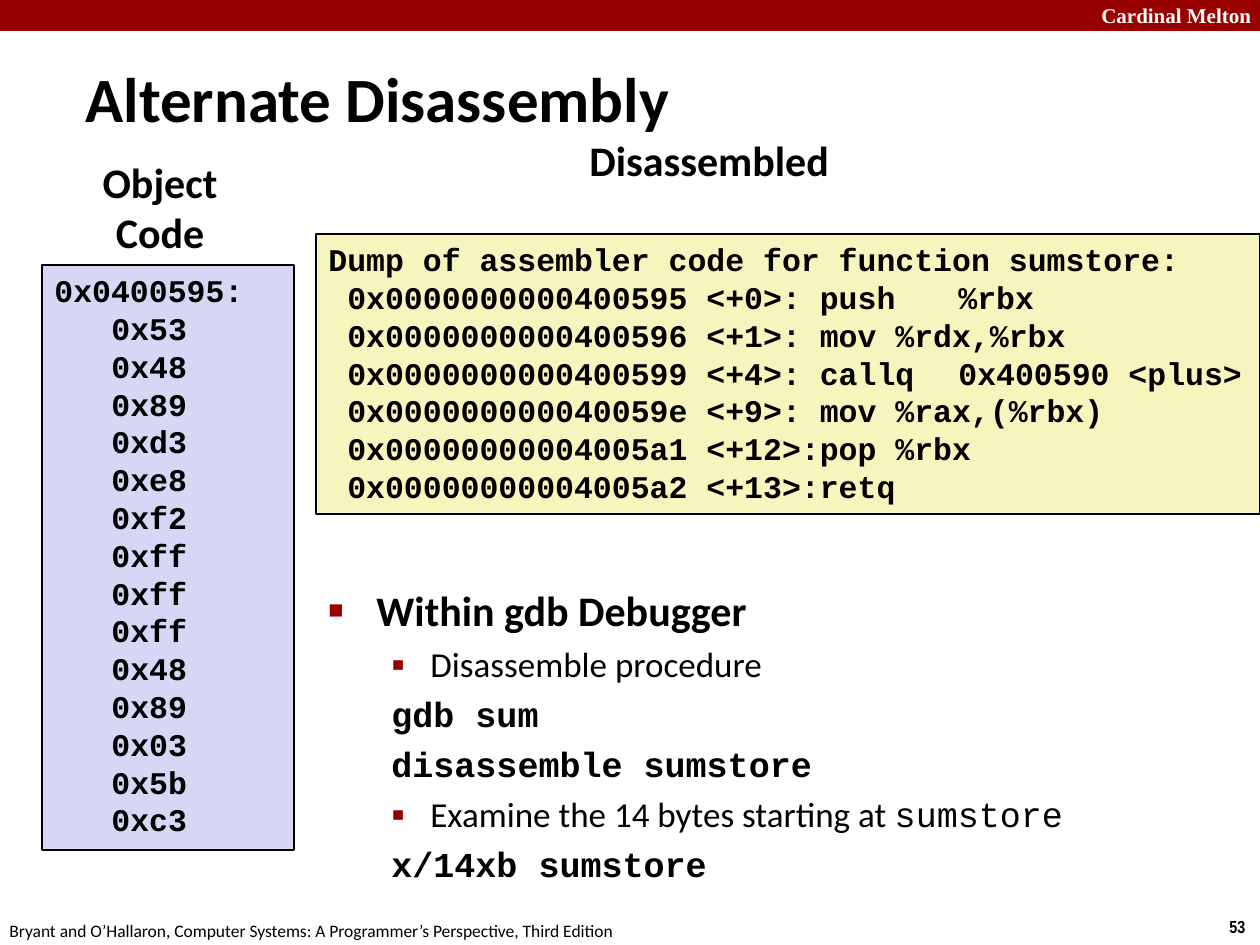
from dataclasses import dataclass

from lxml import etree
from pptx import Presentation
from pptx import util as u
from pptx.dml.color import RGBColor
from pptx.enum import shapes, text
from pptx.oxml import ns

SCALE = 914400 // 126


@dataclass(frozen=True)
class Theme:
    red: str = "990000"
    black: str = "000000"
    white: str = "FFFFFF"
    yellow: str = "F6F5BD"
    lilac: str = "D6D6F5"
    sans: str = "Calibri"
    mono: str = "Courier New"
    title: int = 36
    heading: int = 24
    detail: int = 20
    code: int = 18
    brand: int = 12
    footer: int = 10


THEME = Theme()
SQUARE = ("■", 60)
SMALL_SQUARE = ("▪", 110)


def px(value):
    return u.Emu(round(value * SCALE))


def apply(target, values):
    for name, value in values.items():
        setattr(target, name, value)


def add_span(para, words, size, face=THEME.sans, bold=True, color=THEME.black):
    span = para.add_run()
    span.text = words
    apply(span.font, {"size": u.Pt(size), "name": face, "bold": bold})
    span.font.color.rgb = RGBColor.from_string(color)
    return span


def add_element(parent, tag, **attributes):
    element = etree.SubElement(parent, ns.qn(tag))
    for name, value in attributes.items():
        element.set(name, str(value))
    return element


def indent(para, left, first=0):
    properties = para._p.get_or_add_pPr()
    properties.set("marL", str(px(left)))
    properties.set("indent", str(px(first)))
    return properties


def add_bullet(properties, mark, percent):
    color = add_element(properties, "a:buClr")
    add_element(color, "a:srgbClr", val=THEME.red)
    add_element(properties, "a:buSzPct", val=percent * 1000)
    add_element(properties, "a:buFont", typeface="Arial")
    add_element(properties, "a:buChar", char=mark)


def add_text_box(slide, place, wrap=True):
    box = slide.shapes.add_textbox(*map(px, place))
    box.text_frame.word_wrap = wrap
    return box.text_frame


def add_label(slide, place, words, size, wrap=True, **style):
    para = add_text_box(slide, place, wrap).paragraphs[0]
    add_span(para, words, size, **style)
    return para


def add_panel(slide, place, fill, line=None):
    panel = slide.shapes.add_shape(shapes.MSO_SHAPE.RECTANGLE, *map(px, place))
    panel.shadow.inherit = False
    panel.fill.solid()
    panel.fill.fore_color.rgb = RGBColor.from_string(fill)
    if line:
        panel.line.color.rgb = RGBColor.from_string(line)
        panel.line.width = u.Pt(1)
    else:
        panel.line.fill.background()
    return panel


def add_paragraphs(frame, items):
    for index, item in enumerate(items):
        yield (frame.add_paragraph() if index else frame.paragraphs[0]), item


def add_code(slide, place, fill, lines, left=0, tab=None):
    frame = add_panel(slide, place, fill, THEME.black).text_frame
    apply(frame, {"word_wrap": True, "vertical_anchor": text.MSO_ANCHOR.TOP})
    for index, (para, line) in enumerate(add_paragraphs(frame, lines)):
        apply(para, {"alignment": text.PP_ALIGN.LEFT, "line_spacing": u.Pt(21.6)})
        properties = indent(para, left if index else 0)
        if tab:
            stops = add_element(properties, "a:tabLst")
            add_element(stops, "a:tab", pos=px(tab), algn="l")
        add_span(para, line, THEME.code, THEME.mono)


def add_outline(slide, place, items):
    for para, (left, first, bullet, spans) in add_paragraphs(add_text_box(slide, place), items):
        properties = indent(para, left, first)
        if bullet:
            add_bullet(properties, *bullet)
        para.space_before = u.Pt(4.6)
        for span in spans:
            add_span(para, *span)


def set_title(slide, place, words):
    title = slide.shapes.title
    apply(title, dict(zip(("left", "top", "width", "height"), map(px, place))))
    frame = title.text_frame
    apply(frame, {"word_wrap": True, "vertical_anchor": text.MSO_ANCHOR.MIDDLE})
    frame.paragraphs[0].alignment = text.PP_ALIGN.LEFT
    add_span(frame.paragraphs[0], words, THEME.title)


def point(words):
    return 102, -39, SMALL_SQUARE, [(words, THEME.detail, THEME.sans, False)]


def command(words):
    return 102, -39, None, [(words, THEME.detail, THEME.mono)]


def main():
    deck = Presentation()
    apply(deck, {"slide_width": px(1260), "slide_height": px(945)})
    slide = deck.slides.add_slide(deck.slide_layouts[5])

    add_panel(slide, (0, 0, 1260, 31), THEME.red)
    add_label(slide, (1089, -4, 180, 38), "Cardinal Melton", THEME.brand,
              face="Times New Roman", color=THEME.white)
    add_label(slide, (1217, 910, 43, 34), "53", THEME.footer, wrap=False, face="Arial Narrow")
    add_label(slide, (-3, 914, 640, 34),
              "Bryant and O’Hallaron, Computer Systems: A Programmer’s Perspective, Third Edition",
              THEME.footer, wrap=False, bold=False)

    set_title(slide, (73, 58, 861, 79), "Alternate Disassembly")
    add_label(slide, (577, 128, 359, 57), "Disassembled", THEME.heading)
    object_label = add_label(slide, (55, 150, 180, 105), "Object", THEME.heading)
    object_label.alignment = text.PP_ALIGN.CENTER
    indent(object_label, 30)
    object_label.add_line_break()
    add_span(object_label, "Code", THEME.heading)

    add_code(slide, (316, 234, 944, 280), THEME.yellow, [
        "Dump of assembler code for function sumstore:",
        " 0x0000000000400595 <+0>: push\t%rbx",
        " 0x0000000000400596 <+1>: mov\t%rdx,%rbx",
        " 0x0000000000400599 <+4>: callq\t0x400590 <plus>",
        " 0x000000000040059e <+9>: mov\t%rax,(%rbx)",
        " 0x00000000004005a1 <+12>:pop\t%rbx",
        " 0x00000000004005a2 <+13>:retq",
    ], tab=624)
    code_bytes = "53 48 89 d3 e8 f2 ff ff ff 48 89 03 5b c3".split()
    add_code(slide, (42, 265, 252, 585), THEME.lilac,
             ["0x0400595:"] + [f"0x{code}" for code in code_bytes], left=57)

    examine = point("Examine the 14 bytes starting at ")
    examine[3].append(("sumstore", THEME.detail, THEME.mono, False))
    add_outline(slide, (316, 578, 868, 310), [
        (48, -48, SQUARE, [("Within gdb Debugger", THEME.heading)]),
        point("Disassemble procedure"),
        command("gdb sum"),
        command("disassemble sumstore"),
        examine,
        command("x/14xb sumstore"),
    ])
    deck.save("out.pptx")


main()
